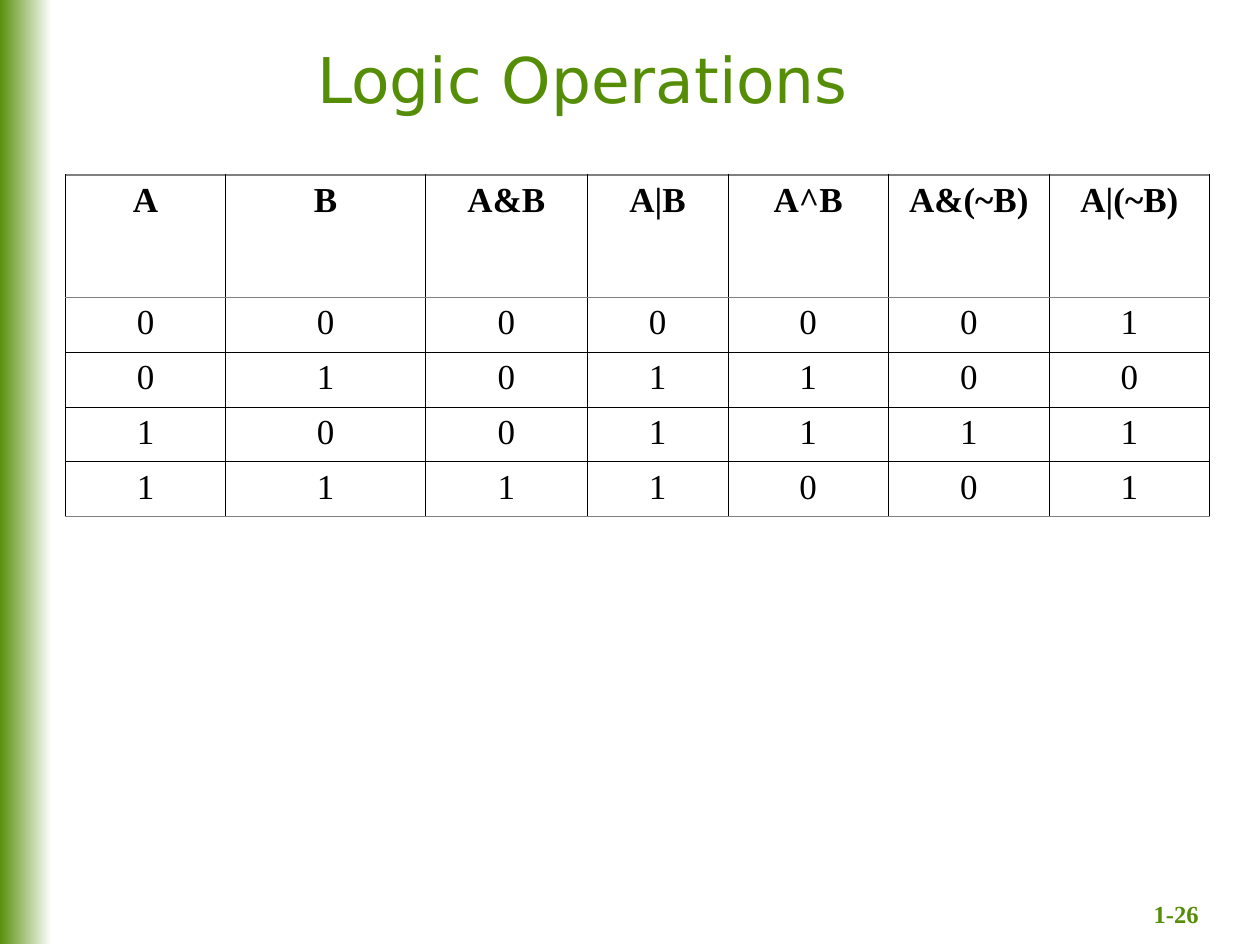
from dataclasses import dataclass
from typing import Callable, NamedTuple

import pptx
import pptx.dml.color
import pptx.enum.shapes
import pptx.enum.text
import pptx.oxml
import pptx.oxml.ns
import pptx.util

Inches = pptx.util.Inches
Anchor = pptx.enum.text.MSO_ANCHOR


@dataclass(frozen=True)
class Theme:
    green: str = "558D06"
    white: str = "FFFFFF"
    black: str = "000000"
    gray: str = "808080"
    title_font: str = "DejaVu Sans"
    body_font: str = "Times New Roman"
    title_size: int = 36
    table_size: int = 20
    number_size: int = 14
    thin_line: float = 0.34
    header_line: float = 0.45
    outer_line: float = 0.96


class Box(NamedTuple):
    left: float
    top: float
    width: float
    height: float

    def lengths(self) -> list:
        return [Inches(value) for value in self]


class Operation(NamedTuple):
    heading: str
    width: float
    result: Callable[[int, int], int]


class Border(NamedTuple):
    color: str
    points: float


THEME = Theme()
SIDE_BAND = Box(-0.01, -0.01, 0.42, 7.5)
TITLE = Box(0.42, 0.25, 8.41, 0.75)
TRUTH_TABLE = Box(0.52, 1.39, 9.08, 2.71)
PAGE_NUMBER = Box(8.75, 6.67, 1.17, 0.75)
HEADER_HEIGHT = 0.97

OPERATIONS = [
    Operation("A", 1.27, lambda a, b: a),
    Operation("B", 1.59, lambda a, b: b),
    Operation("A&B", 1.28, lambda a, b: a & b),
    Operation("A|B", 1.12, lambda a, b: a | b),
    Operation("A^B", 1.27, lambda a, b: a ^ b),
    Operation("A&(~B)", 1.28, lambda a, b: a & (1 - b)),
    Operation("A|(~B)", 1.27, lambda a, b: a | (1 - b)),
]
INPUTS = [(0, 0), (0, 1), (1, 0), (1, 1)]


def rgb(color: str) -> pptx.dml.color.RGBColor:
    return pptx.dml.color.RGBColor.from_string(color)


def write_text(text_frame, text: str, *, size: int, font: str = THEME.body_font,
               color: str = THEME.black, bold: bool = False) -> None:
    paragraph = text_frame.paragraphs[0]
    paragraph.alignment = pptx.enum.text.PP_ALIGN.CENTER
    run = paragraph.add_run()
    run.text = text
    run.font.name = font
    run.font.size = pptx.util.Pt(size)
    run.font.bold = bold
    run.font.color.rgb = rgb(color)


def add_text_box(slide, box: Box, text: str, anchor: Anchor, **text_format) -> None:
    text_frame = slide.shapes.add_textbox(*box.lengths()).text_frame
    text_frame.word_wrap = True
    text_frame.vertical_anchor = anchor
    write_text(text_frame, text, **text_format)


def add_side_band(slide) -> None:
    band = slide.shapes.add_shape(
        pptx.enum.shapes.MSO_SHAPE.RECTANGLE, *SIDE_BAND.lengths())
    band.shadow.inherit = False
    band.line.fill.background()
    band.fill.gradient()
    band.fill.gradient_angle = 180
    for stop, color in zip(band.fill.gradient_stops, (THEME.white, THEME.green)):
        stop.position = 0 if color == THEME.white else 1
        stop.color.rgb = rgb(color)


def set_borders(cell, left: Border, right: Border, top: Border, bottom: Border) -> None:
    # Border elements must come before the fill of the cell
    properties = cell._tc.get_or_add_tcPr()
    sides = zip("LRTB", (left, right, top, bottom))
    for position, (side, border) in enumerate(sides):
        properties.insert(position, pptx.oxml.parse_xml(
            f'<a:ln{side} {pptx.oxml.ns.nsdecls("a")} '
            f'w="{pptx.util.Pt(border.points)}">'
            f'<a:solidFill><a:srgbClr val="{border.color}"/></a:solidFill>'
            f'</a:ln{side}>'))


def add_truth_table(slide) -> None:
    rows = [[operation.heading for operation in OPERATIONS]]
    rows += [[str(operation.result(a, b)) for operation in OPERATIONS]
             for a, b in INPUTS]
    table = slide.shapes.add_table(
        len(rows), len(OPERATIONS), *TRUTH_TABLE.lengths()).table
    table.first_row = table.horz_banding = False

    # Column widths and row heights
    for column, operation in zip(table.columns, OPERATIONS):
        column.width = Inches(operation.width)
    row_height = (TRUTH_TABLE.height - HEADER_HEIGHT) / len(INPUTS)
    for index, row in enumerate(table.rows):
        row.height = Inches(row_height if index else HEADER_HEIGHT)

    # Horizontal rules run from the top edge to the bottom edge
    thin = Border(THEME.black, THEME.thin_line)
    outer = Border(THEME.gray, THEME.outer_line)
    under_header = Border(THEME.gray, THEME.header_line)
    after_inputs = Border(THEME.black, THEME.header_line)
    horizontal = [outer, under_header] + [thin] * (len(INPUTS) - 1) + [outer]
    vertical = [thin] * (len(OPERATIONS) + 1)
    vertical[2] = after_inputs

    for row_index, row in enumerate(rows):
        for column_index, text in enumerate(row):
            cell = table.cell(row_index, column_index)
            cell.fill.background()
            set_borders(cell, *vertical[column_index:column_index + 2],
                        *horizontal[row_index:row_index + 2])
            write_text(cell.text_frame, text, size=THEME.table_size,
                       bold=row_index == 0)


def main() -> None:
    presentation = pptx.Presentation()
    presentation.slide_width = Inches(10)
    presentation.slide_height = Inches(7.5)
    slide = presentation.slides.add_slide(presentation.slide_layouts[6])

    # Page number and side band
    add_text_box(slide, PAGE_NUMBER, "1-26", Anchor.BOTTOM,
                 size=THEME.number_size, color=THEME.green, bold=True)
    add_side_band(slide)

    # Title and table
    add_text_box(slide, TITLE, "Logic Operations", Anchor.MIDDLE,
                 size=THEME.title_size, font=THEME.title_font, color=THEME.green)
    add_truth_table(slide)

    presentation.save("out.pptx")


if __name__ == "__main__":
    main()
